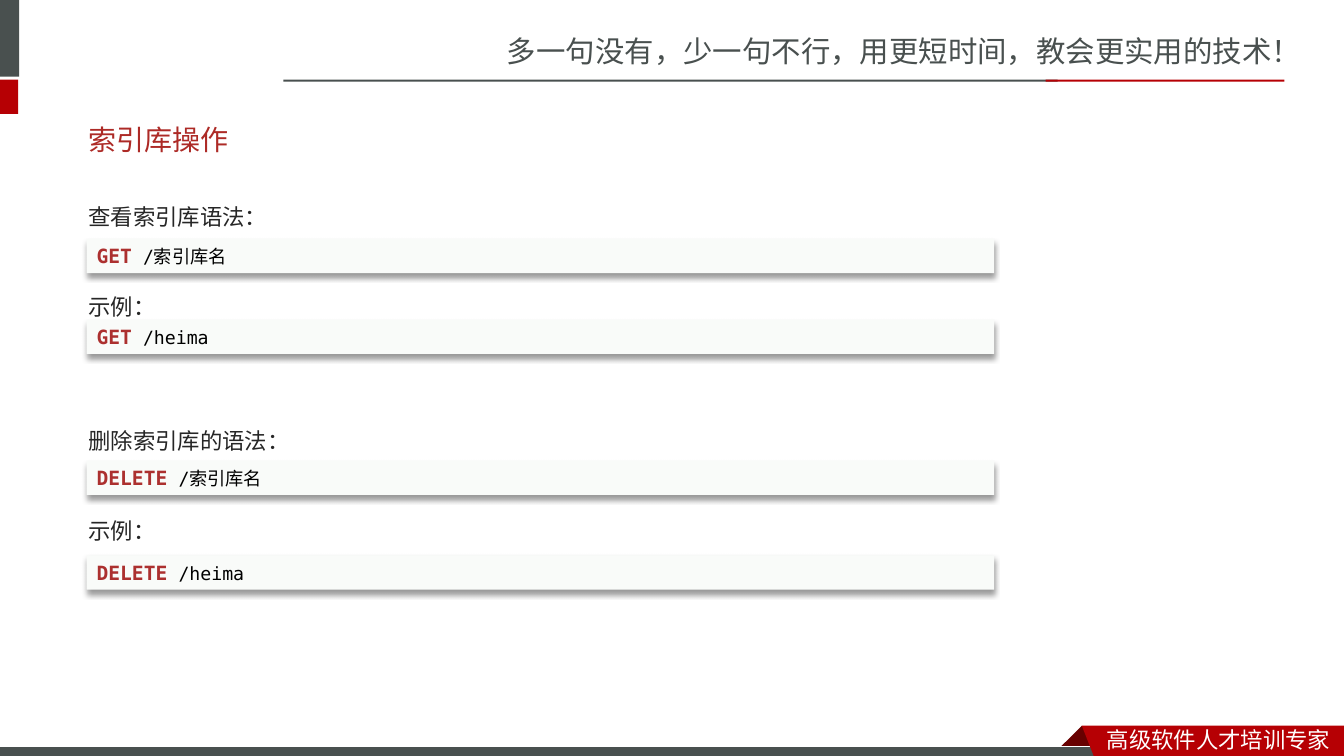
import pptx
import pptx.util
import pptx.dml.color
import pptx.enum.shapes
import pptx.enum.text
import pptx.oxml
import pptx.oxml.ns

Inches = pptx.util.Inches
Pt = pptx.util.Pt

COLORS = {
    "gray": "49504F", "red": "B60004", "dark red": "680000", "white": "FFFFFF",
    "heading": "AD2A26", "label": "262626", "code fill": "F9FBF9",
    "verb": "AC302F", "space": "000080", "path": "000000",
}
CJK = "Noto Sans CJK SC"
MONO = "DejaVu Sans Mono"
SHADOW = (
    '<a:outerShdw %s blurRad="50800" dist="38100" dir="5400000" algn="t" rotWithShape="0">'
    '<a:srgbClr val="000000"><a:alpha val="40000"/></a:srgbClr></a:outerShdw>'
    % pptx.oxml.ns.nsdecls("a")
)


def rgb(name):
    return pptx.dml.color.RGBColor.from_string(COLORS[name])


def write(paragraph, text, size, color, font=CJK, east_asian=CJK, bold=False):
    """Add one run, with separate Latin and East Asian typefaces."""
    run = paragraph.add_run()
    run.text = text
    run.font.size = Pt(size)
    run.font.bold = bold
    run.font.color.rgb = rgb(color)
    run.font.name = font
    east = pptx.oxml.parse_xml(
        '<a:ea %s typeface="%s"/>' % (pptx.oxml.ns.nsdecls("a"), east_asian))
    run.font._element.find(pptx.oxml.ns.qn("a:latin")).addnext(east)


class SlideBuilder:
    def __init__(self, slide):
        self.slide = slide

    def paint(self, shape, fill, line=None):
        shape.shadow.inherit = False
        shape.fill.solid()
        shape.fill.fore_color.rgb = rgb(fill)
        if line:
            shape.line.color.rgb = rgb(line)
            shape.line.width = Pt(0.75)
        else:
            shape.line.fill.background()
        return shape

    def bar(self, left, top, width, height, fill, line=None):
        bar = self.slide.shapes.add_shape(
            pptx.enum.shapes.MSO_SHAPE.RECTANGLE,
            Inches(left), Inches(top), Inches(width), Inches(height))
        return self.paint(bar, fill, line)

    def outline(self, corners, fill):
        start, *rest = [(Inches(x), Inches(y)) for x, y in corners]
        builder = self.slide.shapes.build_freeform(*start)
        builder.add_line_segments(rest, close=True)
        return self.paint(builder.convert_to_shape(), fill)

    def text_box(self, left, top, width, height):
        frame = self.slide.shapes.add_textbox(
            Inches(left), Inches(top), Inches(width), Inches(height)).text_frame
        frame.word_wrap = True
        return frame

    def title(self, text):
        title = self.slide.shapes.title
        title.left, title.top = Inches(0.78), Inches(1.16)
        title.width, title.height = Inches(11.7), Inches(0.44)
        title.text_frame.vertical_anchor = pptx.enum.text.MSO_ANCHOR.MIDDLE
        paragraph = title.text_frame.paragraphs[0]
        paragraph.alignment = pptx.enum.text.PP_ALIGN.LEFT
        write(paragraph, text, 20, "heading", font="Lato")

    def labels(self, entries):
        """Write labels on a fixed line pitch, each after a number of free lines."""
        pitch = 32
        frame = self.text_box(0.78, 1.79, 11.7, 3.83)
        for index, (text, free_lines) in enumerate(entries):
            paragraph = frame.add_paragraph() if index else frame.paragraphs[0]
            paragraph.line_spacing = Pt(pitch)
            if free_lines:
                paragraph.space_before = Pt(pitch * free_lines)
            write(paragraph, text, 16, "label",
                  font="Noto Sans CJK JP", east_asian="Noto Sans CJK JP")

    def code(self, top, verb, path):
        panel = self.bar(0.86, top, 9, 0.34, "code fill")
        effects = panel._element.spPr.find(pptx.oxml.ns.qn("a:effectLst"))
        effects.append(pptx.oxml.parse_xml(SHADOW))
        frame = panel.text_frame
        frame.word_wrap = True
        frame.vertical_anchor = pptx.enum.text.MSO_ANCHOR.MIDDLE
        paragraph = frame.paragraphs[0]
        paragraph.alignment = pptx.enum.text.PP_ALIGN.LEFT
        write(paragraph, verb, 14, "verb", font=MONO, bold=True)
        write(paragraph, " ", 13, "space", font=MONO, bold=True)
        write(paragraph, path, 13, "path", font=MONO)

    def header(self, slogan):
        write(self.text_box(4.93, 0.28, 8.41, 0.47).paragraphs[0], slogan, 21, "gray")
        self.bar(0, 0, 0.19, 0.76, "gray")
        self.bar(0, 0.79, 0.18, 0.34, "red")
        self.bar(2.81, 0.79, 7.68, 0.02, "gray")
        self.bar(10.37, 0.79, 2.37, 0.02, "red")

    def footer(self, motto):
        self.outline([(10.73, 7.2), (10.95, 7.42), (10.94, 7.43),
                      (10.52, 7.43), (10.51, 7.42)], "dark red")
        self.bar(-0.01, 7.41, 11, 0.12, "gray", line="white")
        self.outline([(10.73, 7.2), (13.33, 7.2), (13.33, 7.54), (10.86, 7.53)], "red")
        write(self.text_box(10.88, 7.15, 2.45, 0.37).paragraphs[0], motto, 16, "white")


def main():
    deck = pptx.Presentation()
    deck.slide_width, deck.slide_height = Inches(13.33), Inches(7.5)
    page = SlideBuilder(deck.slides.add_slide(deck.slide_layouts[5]))
    page.header("多一句没有，少一句不行，用更短时间，教会更实用的技术！")
    page.footer("高级软件人才培训专家")
    page.title("索引库操作")
    page.labels([("查看索引库语法：", 0), ("示例：", 1),
                 ("删除索引库的语法：", 2), ("示例：", 1)])
    for top, verb, path in [(2.37, "GET", "/索引库名"), (3.17, "GET", "/heima"),
                            (4.57, "DELETE", "/索引库名"), (5.51, "DELETE", "/heima")]:
        page.code(top, verb, path)
    deck.save("out.pptx")


if __name__ == "__main__":
    main()
